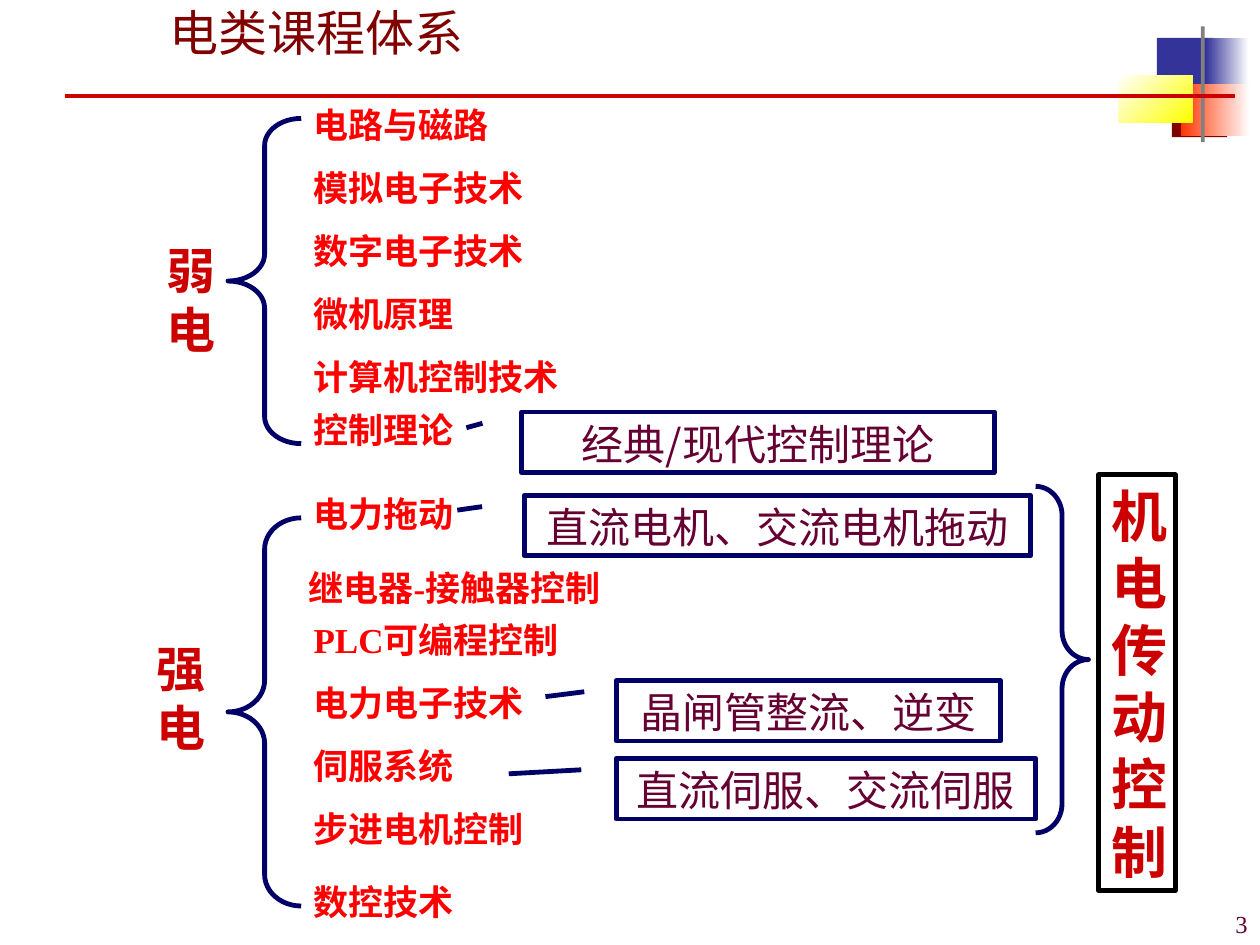
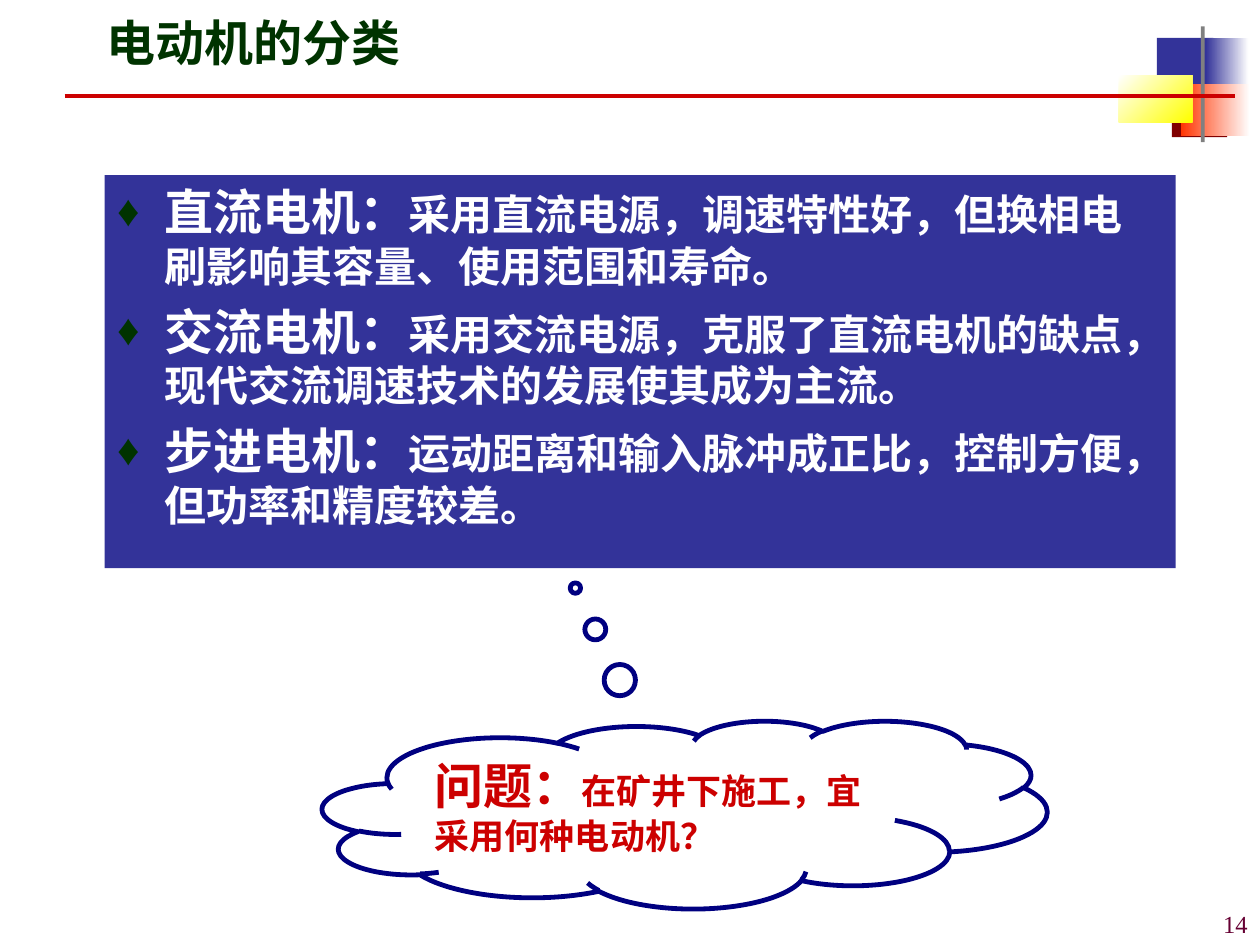
from lxml.etree import SubElement
from pptx import Presentation
from pptx.dml.color import RGBColor
from pptx.enum.shapes import MSO_CONNECTOR, MSO_SHAPE as Kind
from pptx.enum.text import MSO_ANCHOR as Anchor, PP_ALIGN as Align
from pptx.oxml.ns import qn
from pptx.util import Pt

WHITE = RGBColor(0xFF, 0xFF, 0xFF)
BLACK = RGBColor(0x00, 0x00, 0x00)
BLUE = RGBColor(0x33, 0x33, 0x99)
NAVY = RGBColor(0x00, 0x00, 0x66)
CLOUD = RGBColor(0x00, 0x00, 0x80)
MAROON = RGBColor(0x80, 0x00, 0x00)
ORANGE = RGBColor(0xFF, 0x33, 0x00)
YELLOW = RGBColor(0xFF, 0xFF, 0x00)
GREY = RGBColor(0x80, 0x80, 0x80)
CRIMSON = RGBColor(0xCC, 0x00, 0x00)
RED = RGBColor(0xFF, 0x00, 0x00)
PLUM = RGBColor(0x66, 0x00, 0x33)
GREEN = RGBColor(0x00, 0x33, 0x00)
SERIF, SANS, HAN = "Times New Roman", "Arial", "Noto Sans CJK SC"


def draw(slide, kind, x, y, w, h, fill=None, line=None):
    """Add a preset shape, or a text box if kind is None; a pair of fills is a gradient."""
    place = Pt(x), Pt(y), Pt(w), Pt(h)
    if kind is None:
        shape = slide.shapes.add_textbox(*place)
    else:
        shape = slide.shapes.add_shape(kind, *place)
        shape.shadow.inherit = False
        if fill is None:
            shape.fill.background()
        elif isinstance(fill, RGBColor):
            shape.fill.solid()
            shape.fill.fore_color.rgb = fill
        else:
            shape.fill.gradient()
            for stop, tone, spot in zip(shape.fill.gradient_stops, fill, (0, 1)):
                stop.color.rgb, stop.position = tone, spot
        if line is None:
            shape.line.fill.background()
        else:
            shape.line.color.rgb = line
            shape.line.width = Pt(2.75)
    shape.text_frame.word_wrap = True
    shape.text_frame.vertical_anchor = Anchor.TOP
    return shape


def write(shape, parts, color, bold=False, font=SERIF, align=Align.LEFT, para=None):
    """Write (text, size) parts as runs of one paragraph, by default the first."""
    para = para or shape.text_frame.paragraphs[0]
    para.alignment = align
    for text, size in parts:
        run = para.add_run()
        run.text = text
        run.font.size, run.font.bold, run.font.name = Pt(size), bold, font
        run.font.color.rgb = color
        SubElement(run.font._element, qn("a:ea"), typeface=HAN)


deck = Presentation()
deck.slide_width, deck.slide_height = Pt(720), Pt(540)

# Shared frame: corner blocks, rule, title, page number
blocks = [
    (661, 21.6, 32.4, 29.5, BLUE, 0),
    (689, 21.6, 24.5, 29.5, (BLUE, WHITE), 0),
    (669.6, 48.2, 31.7, 30.2, MAROON, 0),
    (674.6, 48.2, 39.6, 29.5, (ORANGE, WHITE), 0),
    (639.4, 43.2, 41.8, 26.6, (WHITE, YELLOW), 315),
    (686.2, 15.1, 2.2, 66.2, GREY, 0),
]
heads = [
    ("电类课程体系", 90, 216, 36, MAROON, False, "3"),
    ("电动机的分类", 54, 612, 48.2, GREEN, True, "14"),
]
for text, x, w, h, color, bold, page in heads:
    slide = deck.slides.add_slide(deck.slide_layouts[6])
    for *place, fill, angle in blocks:
        block = draw(slide, Kind.RECTANGLE, *place, fill)
        if isinstance(fill, tuple) and not isinstance(fill, RGBColor):
            block.fill.gradient_angle = angle
    rule = slide.shapes.add_connector(
        MSO_CONNECTOR.STRAIGHT, Pt(36.9), Pt(54.7), Pt(705.6), Pt(54.7))
    rule.line.color.rgb, rule.line.width = CRIMSON, Pt(2.25)
    SubElement(rule._element.spPr, qn("a:effectLst"))
    title = draw(slide, None, x, 0, w, h)
    title.text_frame.vertical_anchor = Anchor.MIDDLE
    write(title, [(text, 28)], color, bold, SANS)
    number = draw(slide, None, 570.2, 504, 149.8, 36)
    number.text_frame.vertical_anchor = Anchor.BOTTOM
    write(number, [(page, 14)], PLUM, align=Align.RIGHT)

tree, motor = deck.slides

# Slide 1: courses, grouped by braces
courses = [
    ("电路与磁路", 55.4), ("模拟电子技术", 91.4), ("数字电子技术", 127.4),
    ("微机原理", 163.4), ("计算机控制技术", 199.4), ("控制理论", 229.7),
    ("电力拖动", 277.9), ("继电器-接触器控制", 320.4), ("PLC可编程控制", 349.9),
    ("电力电子技术", 385.9), ("伺服系统", 421.9), ("步进电机控制", 457.9),
    ("数控技术", 499.7),
]
for text, y in courses:
    x = 169.2 if "-" in text else 172.1
    write(draw(tree, None, x, y, 228, 31.7), [(text, 20)], RED, True)

for text, x, y in [("弱电", 87.8, 133.9), ("强电", 82.1, 361.4)]:
    write(draw(tree, None, x, y, 41.8, 74.9), [(text, 28)], CRIMSON, True)

braces = [
    (Kind.LEFT_BRACE, 130.3, 67.7, 41.8, 185.8, 0.37),
    (Kind.LEFT_BRACE, 130.3, 295.9, 41.8, 221.8, 0.43),
    (Kind.RIGHT_BRACE, 591.8, 277.9, 30.2, 198, 0.55),
]
for kind, *place, bend in braces:
    brace = draw(tree, kind, *place, line=NAVY)
    brace.adjustments[0] = bend
    brace.adjustments[1] = 0.5

# Text, left, top, width, font, and the far end of the leader (y, x)
notes = [
    ("晶闸管整流、逆变", 352.1, 388.8, 219.6, SERIF, 0.268, -0.184),
    ("直流伺服、交流伺服", 352.1, 433.4, 239.8, SERIF, 0.254, -0.256),
    ("直流电机、交流电机拖动", 299.5, 283, 289.4, SERIF, 0.246, -0.132),
    ("经典/现代控制理论", 298.1, 235.4, 270, HAN, 0.261, -0.117),
]
for text, x, y, w, font, *end in notes:
    note = draw(tree, Kind.LINE_CALLOUT_1, x, y, w, 34.6, WHITE, NAVY)
    for i, value in enumerate([0.188, -0.083, *end]):
        note.adjustments[i] = value
    write(note, [(text, 24)], PLUM, font=font, align=Align.CENTER)

goal = draw(tree, Kind.RECTANGLE, 627.8, 271.4, 43.9, 237.6, line=BLACK)
write(goal, [("机电传动控制", 32)], CRIMSON, True)

# Slide 2: motor types and a question
types = [
    ("直流电机：", "采用直流电源，调速特性好，但换相电刷影响其容量、使用范围和寿命。"),
    ("交流电机：", "采用交流电源，克服了直流电机的缺点，现代交流调速技术的发展使其成为主流。"),
    ("步进电机：", "运动距离和输入脉冲成正比，控制方便，但功率和精度较差。"),
]
panel = draw(motor, Kind.RECTANGLE, 59.8, 100.1, 612, 224.6, BLUE)
for i, (name, trait) in enumerate(types):
    para = panel.text_frame.add_paragraph() if i else panel.text_frame.paragraphs[0]
    if i:
        para.space_before = Pt(6)
    props = para._p.get_or_add_pPr()
    props.set("marL", str(Pt(27)))
    props.set("indent", str(-Pt(27)))
    tint = SubElement(props, qn("a:buClr"))
    SubElement(tint, qn("a:srgbClr"), val=str(GREEN))
    SubElement(props, qn("a:buSzPct"), val="90000")
    SubElement(props, qn("a:buFont"), typeface=SANS)
    SubElement(props, qn("a:buChar"), char="♦")
    write(panel, [(name, 28), (trait, 24)], WHITE, True, SANS, para=para)

cloud = draw(motor, Kind.CLOUD_CALLOUT, 184.3, 411.8, 414, 107.3, line=CLOUD)
cloud.adjustments[0] = -0.151
cloud.adjustments[1] = -1.206
write(cloud, [("问题：", 28), ("在矿井下施工，宜采用何种电动机？", 20)], CRIMSON, True)

deck.save("out.pptx")
